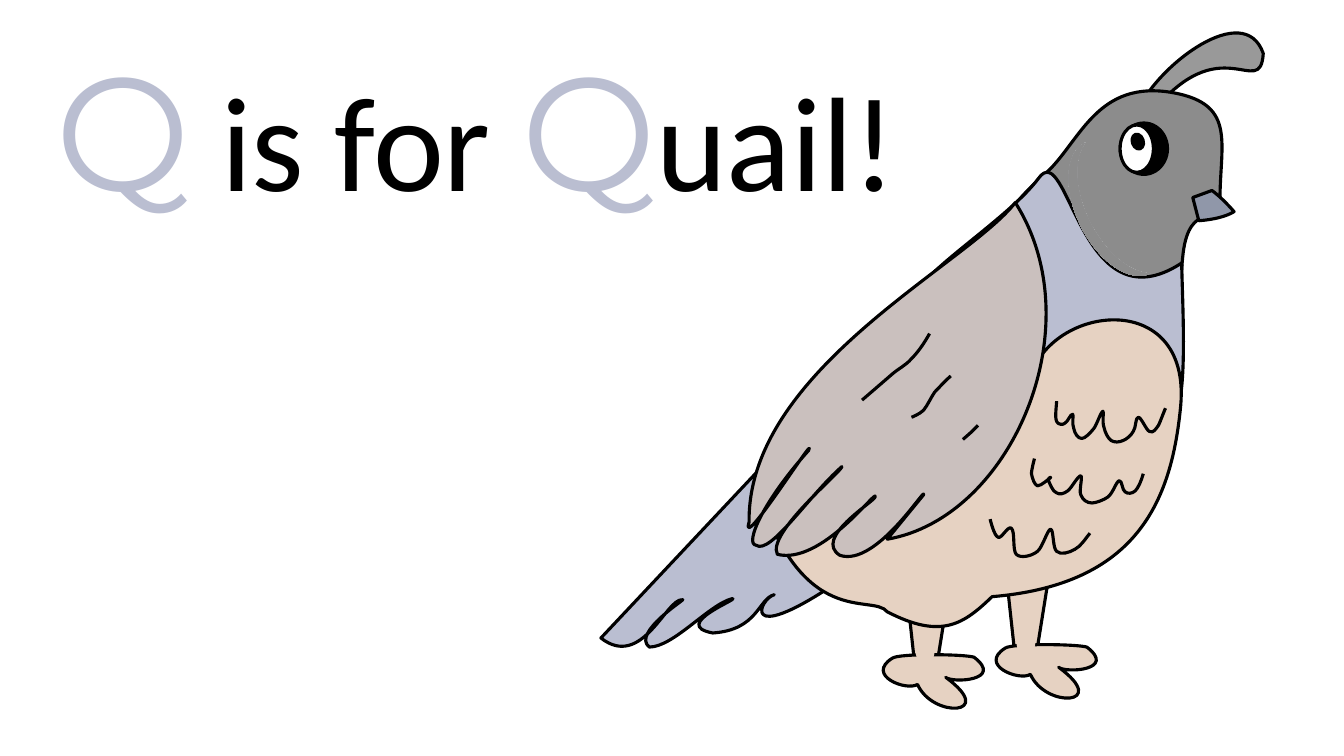
from lxml import etree
from pptx import Presentation
from pptx import util as u
from pptx.dml.color import RGBColor
from pptx.enum import shapes, text
from pptx.oxml.ns import qn

BLACK = RGBColor(0x00, 0x00, 0x00)
WHITE = RGBColor(0xFF, 0xFF, 0xFF)
PALE_BLUE = RGBColor(0xBA, 0xBE, 0xD1)
SKIN = RGBColor(0xE6, 0xD2, 0xC2)
WING_GREY = RGBColor(0xCA, 0xC0, 0xBE)
HEAD_GREY = RGBColor(0x8C, 0x8C, 0x8C)
CREST_GREY = RGBColor(0x99, 0x99, 0x99)
BEAK_GREY = RGBColor(0x90, 0x97, 0xA9)
SHINE = RGBColor(0xF6, 0xF8, 0xFC)

BIG_LETTER = {"name": "Montserrat", "size": u.Pt(115), "color": PALE_BLUE}
PLAIN_TEXT = {"name": "Calibri", "size": u.Pt(96), "color": BLACK}
TITLE_RUNS = [("Q", BIG_LETTER), (" is for ", PLAIN_TEXT),
              ("Q", BIG_LETTER), ("uail! ", PLAIN_TEXT)]

# Outlines in inches: a start point, then lines (x, y) or
# Bézier curves (control 1, control 2, end).
TAIL = [(8.94, 4.61), (7.53, 4.66), (5.96, 6.33),
        (6.37, 6.65, 6.61, 5.93, 6.77, 5.95), (6.82, 5.93, 6.26, 6.28, 6.44, 6.42),
        (6.68, 6.42, 7.03, 6, 7.26, 5.94), (7.36, 5.93, 6.64, 6.2, 7.07, 6.28),
        (7.52, 6.25, 7.52, 5.94, 7.68, 5.9), (7.53, 5.94, 7.34, 6.42, 8.27, 5.8), (8.94, 5.79)]
LEG = [(10.42, 5.61), (9.97, 5.61), (10.06, 6.44), (10.29, 6.42)]
FOOT = [(10.78, 6.42), (10.69, 6.39, 10.04, 6.38, 9.97, 6.43),
        (9.7, 6.6, 10.11, 6.76, 10.22, 6.69), (10.37, 7.03, 11.02, 7, 10.5, 6.62),
        (10.57, 6.68, 11.08, 6.65, 10.78, 6.42)]
CREST = [(12.53, 0.53), (12.34, -0.01, 11.49, 0.65, 11.3, 1.07), (11.4, 1.15),
         (12.11, 0.24, 12.5, 1.01, 12.53, 0.53)]
HEAD = [(11.75, 2.42), (11.84, 2, 12.13, 2.24, 12.1, 1.99),
        (12.1, 1.4, 12.28, 1.01, 11.57, 0.91), (10.85, 0.82, 10.7, 1.44, 10.35, 1.74),
        (10, 2.04, 9.75, 2.48, 9.46, 2.72), (9.15, 3.52, 9.93, 3.86, 10.28, 4.15),
        (10.63, 4.45, 11.33, 4.72, 11.55, 4.48), (11.77, 4.25, 11.66, 2.83, 11.75, 2.42)]
COLLAR = [(10.3, 1.77), (9.99, 2.19, 8.99, 2.79, 9.11, 2.96),
          (9.23, 3.13, 11.43, 4.16, 11.61, 4.14), (11.79, 4.11, 11.73, 3.08, 11.72, 2.61),
          (10.71, 3.27, 10.6, 1.35, 10.3, 1.77)]
BELLY = [(10.2, 3.81), (7.49, 4.78), (7.95, 6.28, 8.65, 5.88, 8.8, 6.07),
         (9.34, 6.35, 9.56, 6.19, 9.84, 5.92), (11.28, 5.8, 11.62, 4.97, 11.71, 4.03),
         (11.82, 2.83, 10.36, 3.02, 10.2, 3.81)]
WING = [(10.07, 2.01), (9.6, 2.62, 7.41, 3.67, 7.43, 5.18),
        (7.33, 5.51, 8.11, 4.27, 8.02, 4.47), (7.57, 4.97, 7.38, 5.4, 7.5, 5.41),
        (7.64, 5.51, 8.02, 4.92, 8.35, 4.63), (8.36, 4.67, 7.6, 5.29, 7.71, 5.5),
        (8.15, 5.61, 8.71, 4.83, 8.68, 4.93), (8.67, 4.98, 8.06, 5.34, 8.33, 5.51),
        (8.69, 5.63, 9.19, 4.81, 9.16, 4.91), (8.8, 5.35), (10.03, 5.14, 10.85, 3.24, 10.07, 2.01)]
BEAK = [(12.02, 1.89), (11.83, 1.96), (11.89, 2.19),
        (12.03, 2.18, 12.16, 2.15, 12.24, 2.1), (12.17, 2.02, 12.09, 1.94, 12.02, 1.89)]
WING_MARKS = [
    [(9.22, 3.31), (9.17, 3.4, 9.11, 3.49, 9.04, 3.56),
     (8.98, 3.63, 8.92, 3.65, 8.84, 3.72), (8.76, 3.79, 8.55, 3.97, 8.55, 3.97)],
    [(9.43, 3.73), (9.37, 3.78, 9.32, 3.84, 9.27, 3.89),
     (9.23, 3.95, 9.2, 4.02, 9.16, 4.07), (9.12, 4.11, 9.04, 4.14, 9.04, 4.14)],
    [(9.7, 4.22), (9.63, 4.29), (9.55, 4.36)],
]
BELLY_FEATHERS = [
    [(11.56, 4.05), (11.53, 4.12, 11.51, 4.18, 11.49, 4.22),
     (11.46, 4.26, 11.44, 4.3, 11.4, 4.28), (11.37, 4.27, 11.32, 4.14, 11.29, 4.14),
     (11.26, 4.14, 11.27, 4.24, 11.24, 4.28), (11.22, 4.32, 11.17, 4.36, 11.14, 4.37),
     (11.1, 4.39, 11.05, 4.39, 11.02, 4.37), (10.99, 4.35, 10.96, 4.29, 10.95, 4.24),
     (10.93, 4.19, 10.95, 4.08, 10.94, 4.08), (10.92, 4.08, 10.88, 4.21, 10.85, 4.25),
     (10.81, 4.3, 10.76, 4.35, 10.73, 4.35), (10.69, 4.35, 10.66, 4.3, 10.65, 4.25),
     (10.63, 4.21, 10.65, 4.11, 10.64, 4.11), (10.62, 4.1, 10.59, 4.19, 10.56, 4.2),
     (10.54, 4.22, 10.49, 4.21, 10.48, 4.18), (10.46, 4.14, 10.48, 4.02, 10.48, 3.98)],
    [(11.34, 4.7), (11.32, 4.77, 11.29, 4.84, 11.26, 4.87),
     (11.23, 4.9, 11.18, 4.9, 11.16, 4.88), (11.13, 4.87, 11.13, 4.76, 11.1, 4.77),
     (11.07, 4.78, 11.04, 4.89, 10.99, 4.93), (10.95, 4.96, 10.87, 4.99, 10.83, 4.99),
     (10.78, 4.99, 10.74, 4.96, 10.72, 4.91), (10.7, 4.87, 10.74, 4.73, 10.72, 4.72),
     (10.69, 4.72, 10.63, 4.84, 10.59, 4.87), (10.55, 4.9, 10.51, 4.91, 10.48, 4.89),
     (10.44, 4.88, 10.41, 4.79, 10.4, 4.77), (10.39, 4.74, 10.43, 4.73, 10.42, 4.74),
     (10.4, 4.75, 10.33, 4.82, 10.29, 4.82), (10.26, 4.81, 10.24, 4.75, 10.23, 4.7),
     (10.23, 4.66, 10.26, 4.55, 10.26, 4.55)],
    [(10.81, 5.29), (10.76, 5.35, 10.72, 5.42, 10.66, 5.45),
     (10.61, 5.48, 10.52, 5.51, 10.48, 5.47), (10.44, 5.44, 10.45, 5.25, 10.42, 5.25),
     (10.39, 5.25, 10.34, 5.43, 10.29, 5.47), (10.23, 5.52, 10.12, 5.54, 10.08, 5.5),
     (10.04, 5.46, 10.07, 5.27, 10.03, 5.24), (10, 5.21, 9.93, 5.35, 9.9, 5.33),
     (9.86, 5.32, 9.82, 5.15, 9.82, 5.15)],
]


def extent(outline, axis):
    """Return the lowest and highest coordinate the outline reaches on one axis."""
    reached = [outline[0][axis]]
    for segment in outline[1:]:
        a, d = reached[-1], segment[-2:][axis]
        if len(segment) == 6:
            b, c = segment[axis], segment[2 + axis]
            reached += [a * (1 - t) ** 3 + 3 * b * t * (1 - t) ** 2
                        + 3 * c * t * t * (1 - t) + d * t ** 3
                        for t in (step / 20 for step in range(1, 20))]
        reached.append(d)
    return min(reached), max(reached)


def paint(shape, fill, outlined=True):
    shape.shadow.inherit = False
    if fill is None:
        shape.fill.background()
    else:
        shape.fill.solid()
        shape.fill.fore_color.rgb = fill
    if outlined:
        shape.line.color.rgb = BLACK
        shape.line.width = u.Pt(2.25)
    else:
        shape.line.fill.background()


def add_outline(quail, outline, fill=None, shift=(0, 0)):
    """Draw a closed, filled outline, or an open stroke when there is no fill."""
    (left, right), (top, bottom) = extent(outline, 0), extent(outline, 1)
    corners = [(u.Inches(x + shift[0]), u.Inches(y + shift[1]))
               for x, y in ((left, top), (right, bottom))]
    builder = quail.shapes.build_freeform(*corners[0])
    builder.add_line_segments(corners[1:], close=False)
    shape = builder.convert_to_shape()
    route = next(shape._element.iter(qn("a:path")))
    for segment in list(route):
        route.remove(segment)
    for index, segment in enumerate(outline):
        tag = "a:moveTo" if index == 0 else "a:lnTo" if len(segment) == 2 else "a:cubicBezTo"
        step = etree.SubElement(route, qn(tag))
        for x, y in zip(segment[::2], segment[1::2]):
            etree.SubElement(step, qn("a:pt"), x=str(u.Inches(x - left)), y=str(u.Inches(y - top)))
    if fill is not None:
        etree.SubElement(route, qn("a:close"))
    paint(shape, fill)


def add_oval(quail, box, fill, rotation=0, outlined=True):
    oval = quail.shapes.add_shape(shapes.MSO_SHAPE.OVAL, *map(u.Inches, box))
    oval.rotation = rotation
    paint(oval, fill, outlined)


def add_head_shine(quail):
    moon = quail.shapes.add_shape(shapes.MSO_SHAPE.MOON, *map(u.Inches, (10.7, 1.43, 0.41, 1.45)))
    paint(moon, HEAD_GREY, outlined=False)
    moon.adjustments[0] = 0.24
    moon.rotation = 153.4
    moon._element.spPr.xfrm.set("flipH", "1")
    moon.fill.gradient()
    moon.fill.gradient_angle = 0
    for stop, position, color in zip(moon.fill.gradient_stops, (0, 0.27), (SHINE, HEAD_GREY)):
        stop.position = position
        stop.color.rgb = color


def add_title(slide):
    box = slide.shapes.add_textbox(*map(u.Inches, (0.21, 0.25, 9.33, 2.04)))
    frame = box.text_frame
    frame.word_wrap = True
    frame.auto_size = text.MSO_AUTO_SIZE.SHAPE_TO_FIT_TEXT
    paragraph = frame.paragraphs[0]
    paragraph.alignment = text.PP_ALIGN.CENTER
    for words, font_format in TITLE_RUNS:
        run = paragraph.add_run()
        run.text = words
        for attribute, value in font_format.items():
            if attribute == "color":
                run.font.color.rgb = value
            else:
                setattr(run.font, attribute, value)


def add_quail(slide):
    quail = slide.shapes.add_group_shape()
    add_outline(quail, TAIL, PALE_BLUE)
    for leg_shift, foot_shift in (((0, 0), (0, 0)), ((-0.99, 0.13), (-1.12, 0.1))):
        add_outline(quail, LEG, SKIN, leg_shift)
        add_outline(quail, FOOT, SKIN, foot_shift)
    for outline, fill in ((CREST, CREST_GREY), (HEAD, HEAD_GREY), (COLLAR, PALE_BLUE),
                          (BELLY, SKIN), (WING, WING_GREY), (BEAK, BEAK_GREY)):
        add_outline(quail, outline, fill)
    for stroke in WING_MARKS + BELLY_FEATHERS:
        add_outline(quail, stroke)
    add_oval(quail, (11.11, 1.22, 0.47, 0.51), BLACK)
    add_oval(quail, (11.11, 1.24, 0.33, 0.47), WHITE)
    add_oval(quail, (11.23, 1.33, 0.11, 0.15), BLACK, rotation=342.2)
    add_head_shine(quail)
    for left, top in ((9.08, 6.3), (10.08, 6.21)):
        add_oval(quail, (left, top, 0.19, 0.3), SKIN, outlined=False)


def main():
    presentation = Presentation()
    presentation.slide_width, presentation.slide_height = u.Inches(13.33), u.Inches(7.5)
    slide = presentation.slides.add_slide(presentation.slide_layouts[6])
    add_title(slide)
    add_quail(slide)
    presentation.save("out.pptx")


if __name__ == "__main__":
    main()
